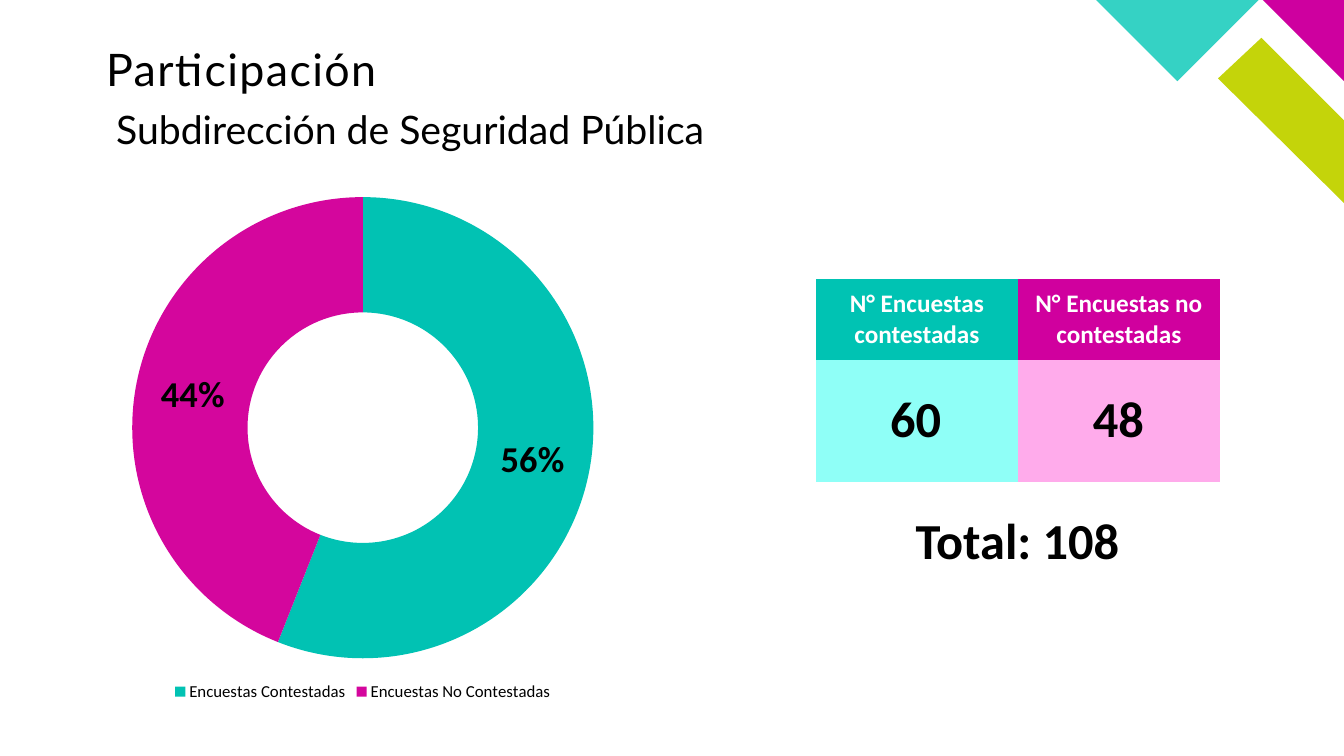
from pptx import Presentation
from pptx import util as u
from pptx.chart import data as cd
from pptx.dml.color import RGBColor
from pptx.enum import chart as ch, text as tx
from pptx.oxml import parse_xml
from pptx.oxml.ns import nsdecls, qn

Pt = u.Pt
SIZE = (960, 540)
TITLE = ("Participación", (75.8, 34.2, 404, 48), dict(size=32, name="Lato", color="000000"))
SUB = ("Subdirección de Seguridad Pública", (75.8, 75.6, 704, 69),
       dict(size=28, name="Lato", color="000000"))
HEAD = dict(size=18, name="Calibri", bold=True, color="FFFFFF")
COUNT = dict(size=36, name="Calibri", bold=True, color="000000")
GRID = (582.8, 199.4, 288.6, 145)
HIGH = (57.9, 87.1)
CELLS = [[("N° Encuestas contestadas", "00C3B3"), ("N° Encuestas no contestadas", "D0009E")],
         [("", "8FFFF7"), ("", "FFABEB")]]
NOTES = [("60", (582.5, 257, 143.3, 87.1)),
         ("48", (727.2, 257, 143.3, 87.1)),
         ("Total: 108", (582.5, 344.2, 288.6, 87.1))]
RING = (72, 129.6, 374.4, 374.4)
SHARES = [("Encuestas Contestadas", 0.56, "01C2B3"),
          ("Encuestas No Contestadas", 0.44, "D4069D")]
PLOT = dict(x=0.06, y=0.03, w=0.88, h=0.88)
CORNER = [("C4D40A", [(960, 144.7), (960, 85.7), (900.6, 26.6), (870.5, 56.2)]),
          ("CE009F", [(960, 57.6), (960, 0), (902, 0)]),
          ("35D2C4", [(782.6, 0), (841, 57.6), (899.3, 0)])]
NO_STYLE = "{2D5ABB26-0587-4C30-8999-92F81FD0307C}"


def rgb(code):
    return RGBColor.from_string(code)


def paint(fill, code):
    fill.solid()
    fill.fore_color.rgb = rgb(code)


def style(font, form):
    for key, val in form.items():
        if key == "color":
            font.color.rgb = rgb(val)
        else:
            setattr(font, key, Pt(val) if key == "size" else val)


def place(shape, box):
    for key, val in zip(("left", "top", "width", "height"), box):
        setattr(shape, key, Pt(val))


def write(frame, words, form, align, anchor):
    frame.word_wrap = True
    frame.vertical_anchor = anchor
    para = frame.paragraphs[0]
    para.alignment = align
    para.line_spacing = 0.9
    para.space_before = Pt(0)
    run = para.add_run()
    run.text = words
    style(run.font, form)
    return para


def add_corner(slide):
    for code, pts in CORNER:
        pen = slide.shapes.build_freeform(*pts[0], scale=Pt(1))
        pen.add_line_segments(pts[1:], close=True)
        shape = pen.convert_to_shape()
        shape.shadow.inherit = False
        paint(shape.fill, code)
        shape.line.fill.background()


def add_heads(slide):
    left, top = tx.PP_ALIGN.LEFT, tx.MSO_ANCHOR.TOP
    for shape, (words, box, form) in zip(slide.placeholders, (TITLE, SUB)):
        place(shape, box)
        shape.text_frame.auto_size = tx.MSO_AUTO_SIZE.NONE
        para = write(shape.text_frame, words, form, left, top)
        if shape == slide.shapes.title:
            for side in ("left", "top", "right", "bottom"):
                setattr(shape.text_frame, "margin_" + side, 0)
            para.runs[0].font._element.set("spc", "100")
        else:
            props = para._p.get_or_add_pPr()
            props.set("marL", "0")
            props.set("indent", "0")
            props.append(parse_xml(f"<a:buNone {nsdecls('a')}/>"))


def add_counts(slide):
    mid, cen = tx.MSO_ANCHOR.MIDDLE, tx.PP_ALIGN.CENTER
    grid = slide.shapes.add_table(2, 2, *map(Pt, GRID)).table
    grid._tbl.tblPr.find(qn("a:tableStyleId")).text = NO_STYLE
    for row, high, cells in zip(grid.rows, HIGH, CELLS):
        row.height = Pt(high)
        for cell, (words, code) in zip(row.cells, cells):
            paint(cell.fill, code)
            cell.vertical_anchor = mid
            para = cell.text_frame.paragraphs[0]
            para.alignment = cen
            if words:
                para.text = words
                style(para.runs[0].font, HEAD)
    for words, box in NOTES:
        note = slide.shapes.add_textbox(*map(Pt, box))
        write(note.text_frame, words, COUNT, cen, mid)


def add_ring(slide):
    data = cd.CategoryChartData(number_format="0%")
    data.categories = [name for name, _, _ in SHARES]
    data.add_series("Series 1", [val for _, val, _ in SHARES])
    chart = slide.shapes.add_chart(ch.XL_CHART_TYPE.DOUGHNUT, *map(Pt, RING), data).chart
    style(chart.font, dict(size=18, name="Calibri", color="000000"))
    chart.has_title = False
    chart.has_legend = True
    key = chart.legend
    key.position = ch.XL_LEGEND_POSITION.BOTTOM
    key.include_in_layout = False
    style(key.font, dict(size=12, name="Calibri", color="000000"))
    plot = chart.plots[0]
    plot.vary_by_categories = True
    for num, (_, _, code) in enumerate(SHARES):
        part = plot.series[0].points[num].format
        paint(part.fill, code)
        part.line.fill.background()
    plot.has_data_labels = True
    tags = plot.data_labels
    form = dict(show_value=True, show_percentage=False, number_format="0%",
                number_format_is_linked=False)
    for name, val in form.items():
        setattr(tags, name, val)
    style(tags.font, dict(size=26, name="Calibri", bold=True, color="000000"))
    area = chart.element.xpath("c:chart/c:plotArea")[0]
    for old in area.findall(qn("c:layout")):
        area.remove(old)
    dims = "".join(f'<c:{name} val="{val}"/>' for name, val in PLOT.items())
    area.insert(0, parse_xml(
        f'<c:layout {nsdecls("c")}><c:manualLayout><c:layoutTarget val="inner"/>'
        f'<c:xMode val="edge"/><c:yMode val="edge"/>{dims}</c:manualLayout></c:layout>'))


def main():
    deck = Presentation()
    deck.slide_width, deck.slide_height = map(Pt, SIZE)
    slide = deck.slides.add_slide(deck.slide_layouts[1])
    add_corner(slide)
    add_heads(slide)
    add_counts(slide)
    add_ring(slide)
    deck.save("out.pptx")


if __name__ == "__main__":
    main()
